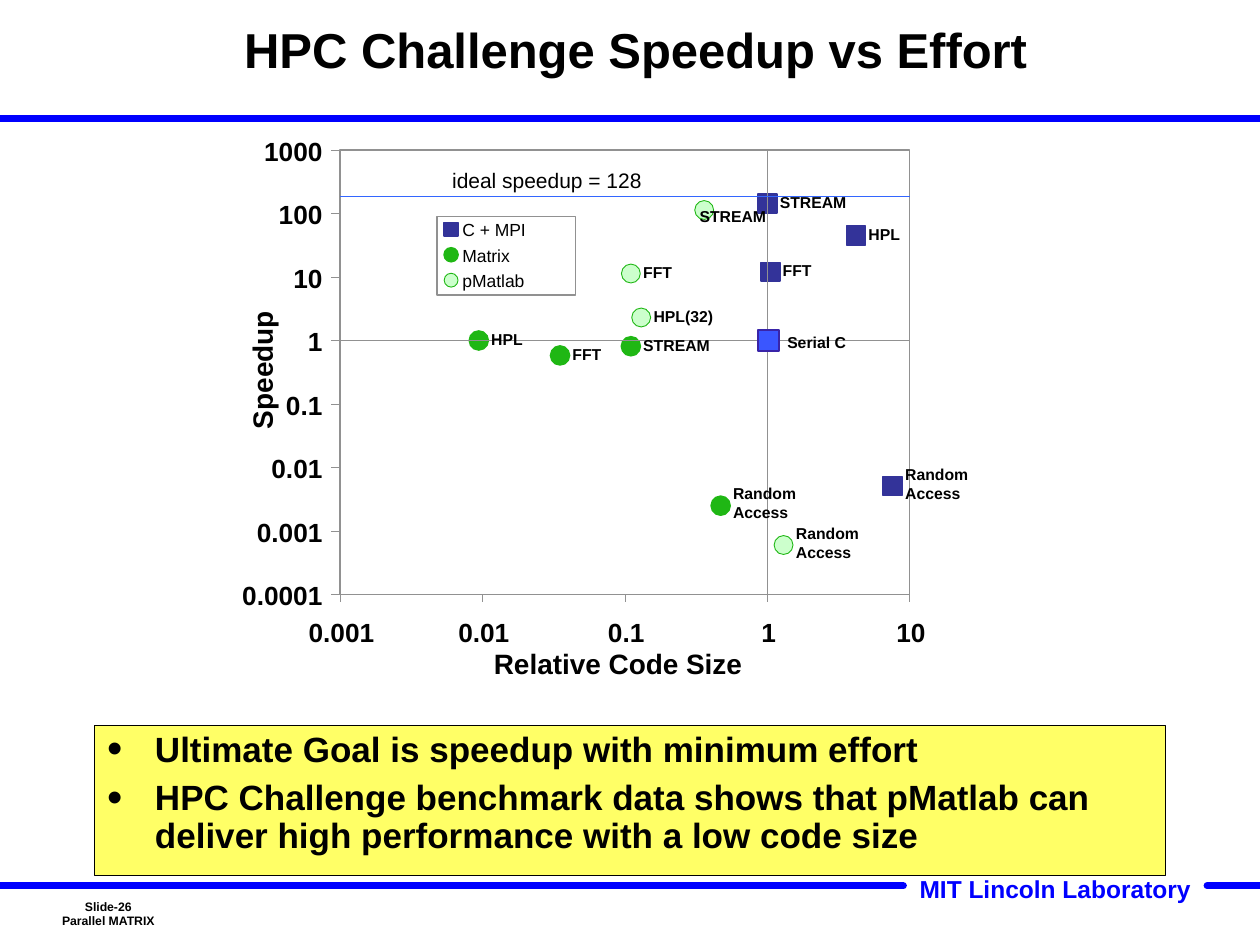
from math import log10

from lxml.etree import SubElement
from pptx import Presentation
from pptx.dml.color import RGBColor
from pptx.enum.shapes import MSO_CONNECTOR, MSO_SHAPE
from pptx.enum.text import MSO_ANCHOR, MSO_AUTO_SIZE, PP_ALIGN
from pptx.oxml.ns import qn
from pptx.util import Inches, Pt

# The slide is a grid of 100 columns by 75 rows; all lengths are in cells
COLS, ROWS = 100, 75
GRAY, BLUE, NAVY, GREEN, PALE = "919191", "0000FF", "333399", "1FB714", "CCFFCC"

# Plot area: one step per decade on both log axes
LEFT, TOP, DX, DY = 27, 11.9, 11.3, 5.04
XTICKS = ["0.001", "0.01", "0.1", "1", "10"]
YTICKS = ["1000", "100", "10", "1", "0.1", "0.01", "0.001", "0.0001"]
RIGHT = LEFT + DX * (len(XTICKS) - 1)
BASE = TOP + DY * (len(YTICKS) - 1)

# Series: name, shape, fill, line, line width, points (label, code size, speedup)
SERIES = [
    ("C + MPI", MSO_SHAPE.RECTANGLE, NAVY, NAVY, 1,
     [("FFT", 1.05, 12), ("HPL", 4.2, 45),
      ("Random Access", 7.6, 0.0051), ("STREAM", 1, 142)]),
    ("Matrix", MSO_SHAPE.OVAL, GREEN, GREEN, 1,
     [("FFT", 0.035, 0.58), ("HPL", 0.0094, 1),
      ("Random Access", 0.47, 0.0025), ("STREAM", 0.11, 0.81)]),
    ("pMatlab", MSO_SHAPE.OVAL, PALE, GREEN, 0.5,
     [("FFT", 0.11, 11.3), ("HPL(32)", 0.13, 2.3),
      ("Random Access", 1.3, 0.0006), ("STREAM", 0.36, 113)]),
]
# Label shift from its point, where it differs from the rule
SHIFT = {("pMatlab", "STREAM"): (-1.35, -0.75)}

GOALS = [
    "Ultimate Goal is speedup with minimum effort",
    "HPC Challenge benchmark data shows that pMatlab can "
    "deliver high performance with a low code size",
]


def cells(*nums):
    return [Inches(n / 10) for n in nums]


def rgb(code):
    return RGBColor.from_string(code)


def spot(size, gain):
    """Grid place of a data point on the log axes."""
    return LEFT + DX * (log10(size) + 3), TOP + DY * (3 - log10(gain))


def write(frame, lines, size=9, bold=True, color="000000",
          align=PP_ALIGN.LEFT, anchor=MSO_ANCHOR.TOP, pad=(1, 0.5),
          wrap=True, space=None, gap=0):
    frame.word_wrap = wrap
    frame.auto_size = MSO_AUTO_SIZE.NONE
    frame.vertical_anchor = anchor
    frame.margin_left = frame.margin_right = cells(pad[0])[0]
    frame.margin_top = frame.margin_bottom = cells(pad[1])[0]
    for i, line in enumerate(lines):
        para = frame.add_paragraph() if i else frame.paragraphs[0]
        para.alignment = align
        para.space_before = Pt(gap if i else 0)
        if space:
            para.line_spacing = space
        run = para.add_run()
        run.text = line
        font = run.font
        font.name, font.size, font.bold = "Arial", Pt(size), bold
        font.color.rgb = rgb(color)


def label(slide, words, at, **form):
    box = slide.shapes.add_textbox(*cells(*at))
    write(box.text_frame, words.split("\n"), **form)
    return box


def paint(shape, fill, line, width):
    if fill:
        shape.fill.solid()
        shape.fill.fore_color.rgb = rgb(fill)
    else:
        shape.fill.background()
    shape.line.color.rgb = rgb(line)
    shape.line.width = Pt(width)


def block(slide, kind, at, fill, line, width):
    shape = slide.shapes.add_shape(kind, *cells(*at))
    shape.shadow.inherit = False
    paint(shape, fill, line, width)


def mark(slide, kind, x, y, side, *look):
    block(slide, kind, (x - side / 2, y - side / 2, side, side), *look)


def rule(slide, x1, y1, x2, y2, color=GRAY, width=0.25, cap="flat"):
    line = slide.shapes.add_connector(MSO_CONNECTOR.STRAIGHT,
                                      *cells(x1, y1, x2, y2))
    line.line.color.rgb = rgb(color)
    line.line.width = Pt(width)
    line.line._get_or_add_ln().set("cap", cap)
    SubElement(line._element.spPr, qn("a:effectLst"))


def place(shape, at):
    shape.left, shape.top, shape.width, shape.height = cells(*at)


def bullet(para):
    props = para._p.get_or_add_pPr()
    indent = Inches(0.38)
    props.set("marL", str(indent))
    props.set("indent", str(-indent))
    color = SubElement(props, qn("a:buClr"))
    SubElement(color, qn("a:srgbClr"), val="000000")
    SubElement(props, qn("a:buSzPct"), val="125000")
    SubElement(props, qn("a:buFont"), typeface="Arial")
    SubElement(props, qn("a:buChar"), char="•")


def frame(slide):
    # Rules and footer texts
    for x1, y, x2 in [(0, 9.4, COLS), (0, 70.3, 71.7), (95.8, 70.3, COLS)]:
        rule(slide, x1, y, x2, y, BLUE, 4, "rnd")
    label(slide, "MIT Lincoln Laboratory", (72, 68.9, 23.6, 3.3),
          size=14, color=BLUE, wrap=False)
    label(slide, "Slide-26\nParallel MATRIX", (2.6, 70, 12, 5), size=7,
          align=PP_ALIGN.CENTER, anchor=MSO_ANCHOR.MIDDLE)


def axes(slide):
    form = dict(size=15, pad=(0, 0))
    block(slide, MSO_SHAPE.RECTANGLE, (LEFT, TOP, RIGHT - LEFT, BASE - TOP),
          None, GRAY, 0.88)
    for i, tick in enumerate(YTICKS):
        y = TOP + DY * i
        rule(slide, LEFT - 0.7, y, LEFT, y)
        label(slide, tick, (17.6, y - 1.2, 8, 2.5),
              align=PP_ALIGN.RIGHT, **form)
    for i, tick in enumerate(XTICKS):
        x = LEFT + DX * i
        rule(slide, x, BASE, x, BASE + 0.6)
        label(slide, tick, (x - 3.9, 48.9, 8, 2.5),
              align=PP_ALIGN.CENTER, **form)
    # Axis titles
    form["size"] = 16
    label(slide, "Relative Code Size", (39.2, 51.3, 19.7, 2.7),
          wrap=False, **form)
    label(slide, "Speedup", (16.1, 28, 9.4, 2.7),
          wrap=False, **form).rotation = 270


def legend(slide):
    block(slide, MSO_SHAPE.RECTANGLE, (34.7, 17.2, 11, 6.2),
          "FFFFFF", GRAY, 0.88)
    for i, (name, kind, *look, _) in enumerate(SERIES):
        y = 18.2 + 2.02 * i
        mark(slide, kind, 35.8, y, 1.1, *look)
        label(slide, name, (36.7, y - 0.8, 8, 1.7),
              size=10, bold=False, pad=(0, 0))


def guides(slide):
    x, y = spot(1, 1)
    rule(slide, LEFT, y, RIGHT, y, width=0.5)
    rule(slide, x, TOP, x, BASE, width=0.5)
    rule(slide, LEFT, 15.6, RIGHT, 15.6, "3366FF", 1)
    label(slide, "ideal speedup = 128", (34.9, 12.8, 17, 3),
          size=12, bold=False, wrap=False)


def points(slide):
    for _, kind, *look, data in SERIES:
        for _, size, gain in data:
            mark(slide, kind, *spot(size, gain), 1.5, *look)


def names(slide):
    for series, *_, data in SERIES:
        for name, size, gain in data:
            x, y = spot(size, gain)
            tall = " " in name
            dx, dy = SHIFT.get((series, name), (0, -2.2 if tall else -1.35))
            label(slide, name, (x + dx, y + dy, 8.2, 4 if tall else 2.5))
    # Reference point
    x, y = spot(1, 1)
    mark(slide, MSO_SHAPE.RECTANGLE, x + 0.1, y, 1.7, "3A56FF", "3924A8", 1)
    label(slide, "Serial C", (x + 0.6, y - 1.1, 6.6, 2.5), wrap=False)


def main():
    deck = Presentation()
    deck.slide_width, deck.slide_height = cells(COLS, ROWS)
    slide = deck.slides.add_slide(deck.slide_layouts[1])
    title, body = slide.placeholders

    frame(slide)

    # Title
    place(title, (11.7, 0, 77.5, 8.3))
    write(title.text_frame, ["HPC Challenge Speedup vs Effort"], size=28,
          align=PP_ALIGN.CENTER, anchor=MSO_ANCHOR.MIDDLE, space=Pt(30))

    # Plot
    for part in (axes, points, legend, guides, names):
        part(slide)

    # Conclusions
    place(body, (7.5, 57.6, 85, 11.9))
    paint(body, "FFFF66", "000000", 0.75)
    write(body.text_frame, GOALS, size=20, space=0.9, gap=6.2)
    for para in body.text_frame.paragraphs:
        bullet(para)

    deck.save("out.pptx")


if __name__ == "__main__":
    main()
